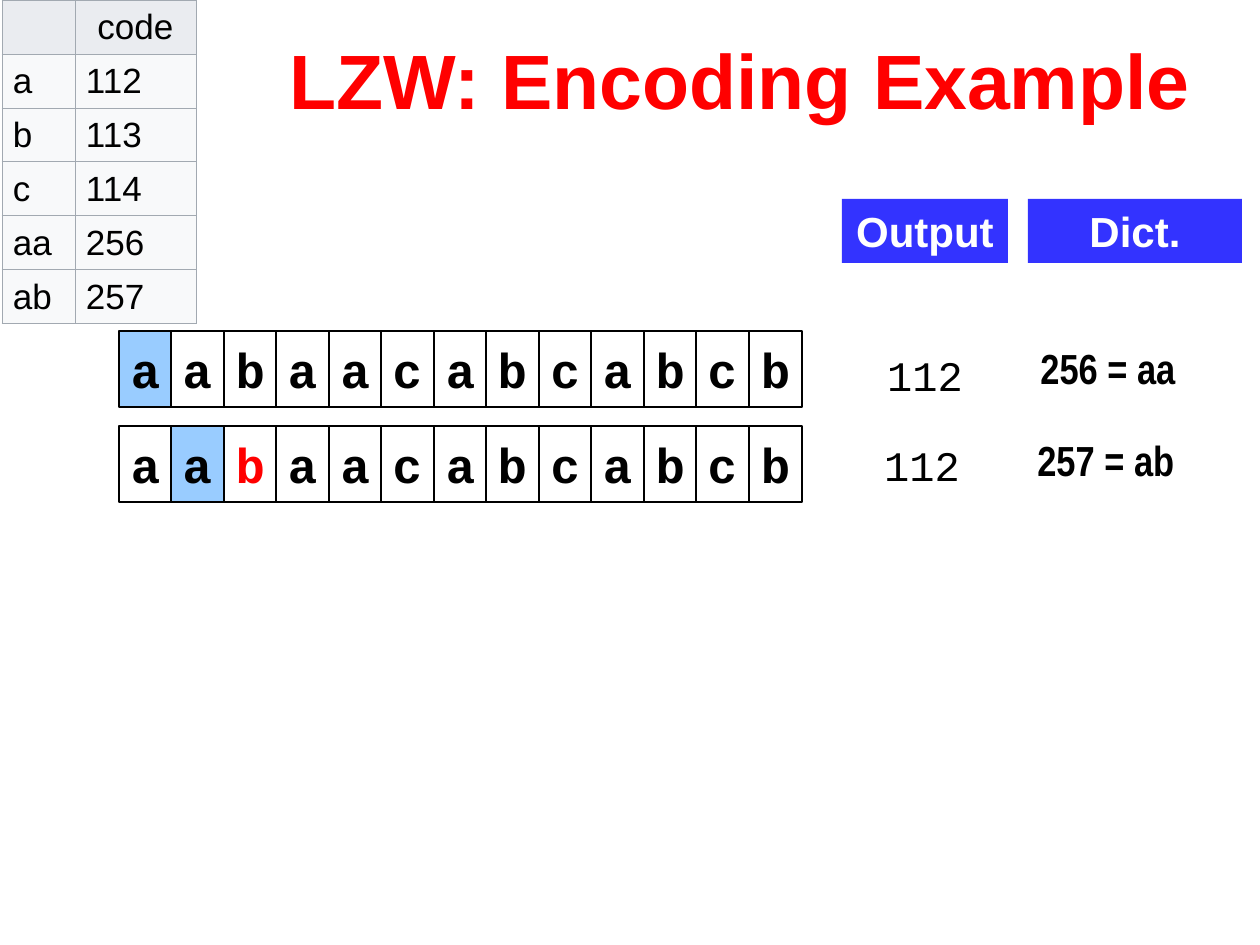
from dataclasses import dataclass

import lxml.etree
import pptx
import pptx.dml.color
import pptx.enum.shapes
import pptx.enum.text
import pptx.oxml.ns
import pptx.util

PX = 914400 // 126
ALIGN = pptx.enum.text.PP_ALIGN
MIDDLE = pptx.enum.text.MSO_ANCHOR.MIDDLE
TOP = pptx.enum.text.MSO_ANCHOR.TOP
RED, BLACK, WHITE = "FF0000", "000000", "FFFFFF"
BLUE, HIGHLIGHT, BORDER = "3333FF", "99CCFF", "A2A9B1"


@dataclass
class Step:
    """One encoding step: the input row, its output and new dictionary entry."""
    top: int
    current: int
    red: int | None
    code: str
    code_at: tuple[int, int]
    entry: str
    entry_at: tuple[int, int]


STEPS = [
    Step(331, 0, None, "112", (842, 343), "256 = aa", (1028, 336)),
    Step(426, 1, 2, "112", (839, 433), "257 = ab", (1025, 428)),
]
MESSAGE = "aabaacabcabcb"
CODES = [("", "code"), ("a", "112"), ("b", "113"), ("c", "114"),
         ("aa", "256"), ("ab", "257")]


def px(n: int) -> int:
    return pptx.util.Emu(n * PX)


def rgb(color: str) -> pptx.dml.color.RGBColor:
    return pptx.dml.color.RGBColor.from_string(color)


def write(tf, text: str, *, size: int, font: str = "Arial", color: str = BLACK,
          bold: bool = False, align=ALIGN.LEFT, anchor=TOP,
          wrap: bool = True) -> None:
    tf.word_wrap = wrap
    tf.vertical_anchor = anchor
    p = tf.paragraphs[0]
    p.alignment = align
    r = p.add_run()
    r.text = text
    r.font.size = pptx.util.Pt(size)
    r.font.name = font
    r.font.bold = bold
    r.font.color.rgb = rgb(color)


def add_text(s, x: int, y: int, w: int, h: int, text: str, **fmt) -> None:
    sp = s.shapes.add_textbox(px(x), px(y), px(w), px(h))
    write(sp.text_frame, text, **fmt)


def add_box(s, x: int, y: int, w: int, h: int, text: str, fill: str,
            line: str | None = None, **fmt) -> None:
    sp = s.shapes.add_shape(pptx.enum.shapes.MSO_SHAPE.RECTANGLE,
                            px(x), px(y), px(w), px(h))
    sp.shadow.inherit = False
    sp.fill.solid()
    sp.fill.fore_color.rgb = rgb(fill)
    if line:
        sp.line.color.rgb = rgb(line)
        sp.line.width = pptx.util.Pt(0.75)
    else:
        sp.line.fill.background()
    write(sp.text_frame, text, align=ALIGN.CENTER, **fmt)


def add_borders(cell, color: str, width: float) -> None:
    qn = pptx.oxml.ns.qn
    tc_pr = cell._tc.get_or_add_tcPr()
    for side in ("a:lnL", "a:lnR", "a:lnT", "a:lnB"):
        ln = lxml.etree.SubElement(tc_pr, qn(side), w=str(pptx.util.Pt(width)))
        solid = lxml.etree.SubElement(ln, qn("a:solidFill"))
        lxml.etree.SubElement(solid, qn("a:srgbClr"), val=color)


def add_code_table(s) -> None:
    widths, row_h = (73, 121), 54
    table = s.shapes.add_table(len(CODES), 2, px(2), 0, px(sum(widths)),
                               px(row_h * len(CODES))).table
    for col, w in zip(table.columns, widths):
        col.width = px(w)
    for i, row in enumerate(CODES):
        table.rows[i].height = px(row_h)
        for j, text in enumerate(row):
            cell = table.cell(i, j)
            add_borders(cell, BORDER, 0.6)
            cell.fill.solid()
            cell.fill.fore_color.rgb = rgb("F8F9FA" if i else "EAECF0")
            cell.vertical_anchor = MIDDLE
            cell.margin_left = cell.margin_right = px(11)
            cell.margin_top = cell.margin_bottom = px(6)
            if text:
                write(cell.text_frame, text, size=20, anchor=MIDDLE,
                      align=ALIGN.LEFT if i else ALIGN.CENTER)


def add_step(s, step: Step) -> None:
    for i, letter in enumerate(MESSAGE):
        # Cells repeat every 52.5 px
        add_box(s, 119 + i * 105 // 2, step.top, 53, 76, letter,
                HIGHLIGHT if i == step.current else WHITE, BLACK,
                size=28, font="Courier New", bold=True, anchor=MIDDLE,
                wrap=False, color=RED if i == step.red else BLACK)
    add_text(s, *step.code_at, 166, 63, step.code, size=24,
             font="Courier New", align=ALIGN.CENTER)
    add_text(s, *step.entry_at, 163, 63, step.entry, size=24,
             font="Arial Narrow", bold=True, wrap=False)


def main() -> None:
    prs = pptx.Presentation()
    prs.slide_width = pptx.util.Inches(10)
    prs.slide_height = pptx.util.Inches(7.5)
    s = prs.slides.add_slide(prs.slide_layouts[6])

    # Title
    add_text(s, 277, 11, 974, 135, "LZW: Encoding Example", size=44,
             color=RED, bold=True, anchor=MIDDLE)

    # Column headings
    for x, w, text in ((842, 166, "Output"), (1028, 214, "Dict.")):
        add_box(s, x, 199, w, 64, text, BLUE, size=24, color=WHITE, bold=True)

    # Encoding steps
    for step in STEPS:
        add_step(s, step)

    # Code table
    add_code_table(s)

    prs.save("out.pptx")


if __name__ == "__main__":
    main()
